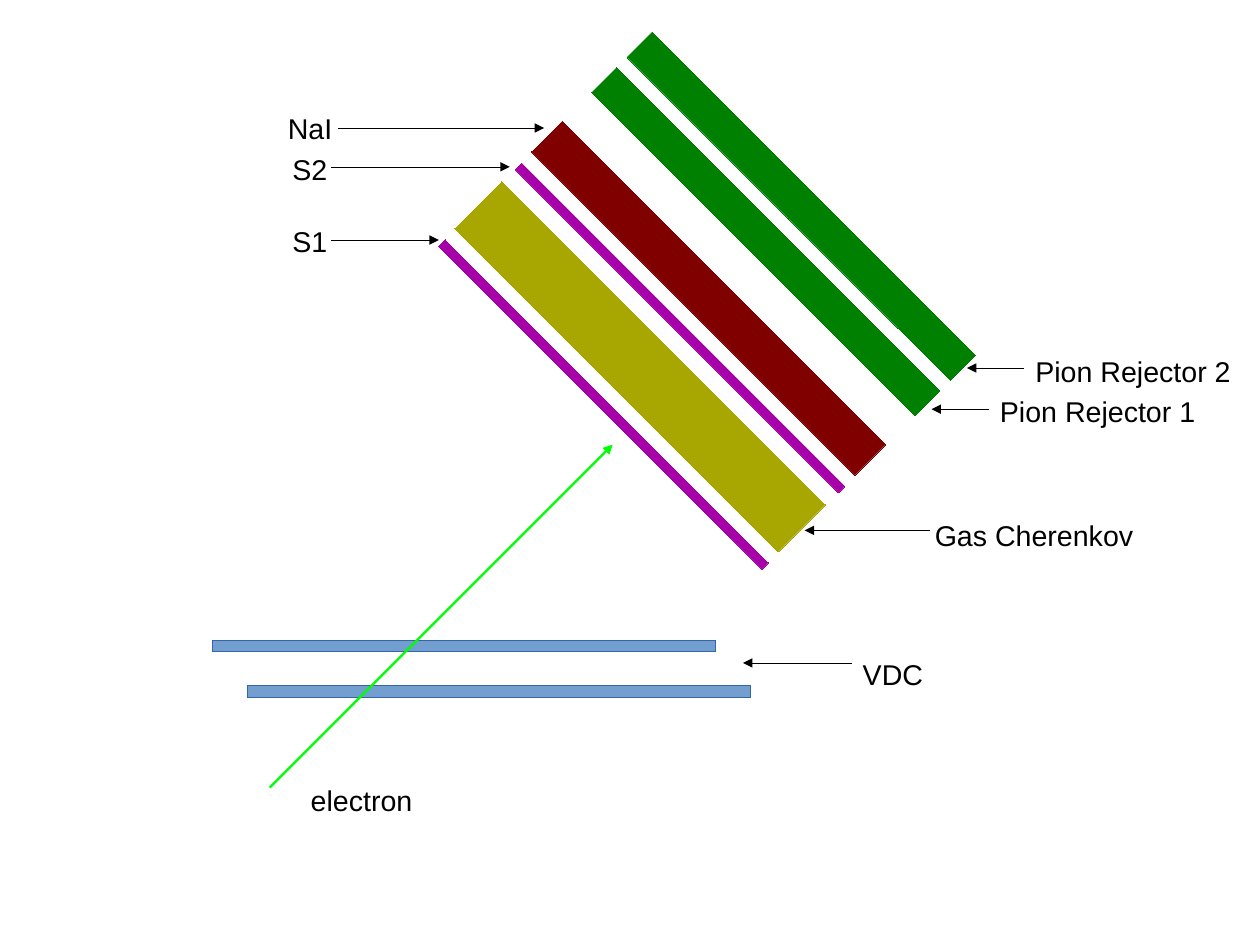
from lxml import etree
from pptx import Presentation
from pptx.dml.color import RGBColor
from pptx.enum.shapes import MSO_CONNECTOR as Connector, MSO_SHAPE as Shape
from pptx.enum.text import MSO_AUTO_SIZE as AutoSize
from pptx.oxml.ns import qn
from pptx.util import Inches, Pt

BLACK = RGBColor(0x00, 0x00, 0x00)
BLUE = RGBColor(0x72, 0x9F, 0xCF)
DARK_BLUE = RGBColor(0x34, 0x65, 0xA4)
PURPLE = RGBColor(0xA6, 0x00, 0xA8)
OLIVE = RGBColor(0xA8, 0xA6, 0x00)
MAROON = RGBColor(0x80, 0x00, 0x00)
GREEN = RGBColor(0x00, 0x80, 0x00)
LIME = RGBColor(0x00, 0xFF, 0x00)

CM_PER_INCH = 2.54
HAIRLINE = 0.01
CHAMBER_LENGTH, CHAMBER_HEIGHT = 4.4, 0.1
DETECTOR_LENGTH, DETECTOR_ANGLE = 4, 45
LABEL_HEIGHT = 0.38

CHAMBERS = [(1.86, 5.6), (2.17, 6)]
DETECTORS = [
    (3.28, 3.5, 0.08, PURPLE),
    (3.95, 2.83, 0.08, PURPLE),
    (3.6, 2.92, 0.58, OLIVE),
    (4.2, 2.42, 0.38, MAROON),
    (4.7, 1.96, 0.31, GREEN),
    (5.01, 1.65, 0.31, GREEN),
]
LABELS = [
    ("VDC", 7.45, 5.7, 0.73),
    ("electron", 2.62, 6.8, 1.09),
    ("S1", 2.46, 1.91, 0.52),
    ("S2", 2.46, 1.28, 0.52),
    ("NaI", 2.42, 0.92, 0.6),
    ("Gas Cherenkov", 8.08, 4.48, 1.95),
    ("Pion Rejector 2", 8.96, 3.05, 1.92),
    ("Pion Rejector 1", 8.65, 3.4, 1.92),
]
POINTERS = [
    (7.45, 6.5, 5.8),
    (2.9, 4.46, 1.46),
    (2.9, 3.84, 2.1),
    (8.14, 7.04, 4.64),
    (2.96, 4.76, 1.12),
    (8.96, 8.46, 3.22),
    (8.65, 8.15, 3.58),
]


def add_bar(slide, left, top, width, height, fill, line, rotation=0):
    shape = slide.shapes.add_shape(
        Shape.RECTANGLE, Inches(left), Inches(top), Inches(width), Inches(height))
    shape.rotation = rotation
    shape.shadow.inherit = False
    shape.fill.solid()
    shape.fill.fore_color.rgb = fill
    shape.line.color.rgb = line
    shape.line.width = Pt(HAIRLINE)


def add_arrow(slide, start, end, color=BLACK, width=HAIRLINE):
    connector = slide.shapes.add_connector(
        Connector.STRAIGHT, *map(Inches, (*start, *end)))
    connector.line.color.rgb = color
    connector.line.width = Pt(width)
    properties = connector._element.spPr
    etree.SubElement(properties.find(qn("a:ln")), qn("a:tailEnd"), type="triangle")
    etree.SubElement(properties, qn("a:effectLst"))


def add_label(slide, text, left, top, width, size=18, font="Arial", color=BLACK):
    box = slide.shapes.add_textbox(
        Inches(left), Inches(top), Inches(width), Inches(LABEL_HEIGHT))
    frame = box.text_frame
    frame.word_wrap = False
    frame.auto_size = AutoSize.SHAPE_TO_FIT_TEXT
    run = frame.paragraphs[0].add_run()
    run.text = text
    run.font.size = Pt(size)
    run.font.name = font
    run.font.color.rgb = color


def main():
    presentation = Presentation()
    presentation.slide_width = Inches(28 / CM_PER_INCH)
    presentation.slide_height = Inches(21 / CM_PER_INCH)
    slide = presentation.slides.add_slide(presentation.slide_layouts[6])

    for left, top in CHAMBERS:
        add_bar(slide, left, top, CHAMBER_LENGTH, CHAMBER_HEIGHT, BLUE, DARK_BLUE)
    for left, top, thickness, color in DETECTORS:
        add_bar(slide, left, top, DETECTOR_LENGTH, thickness, color, color,
                rotation=DETECTOR_ANGLE)
    add_arrow(slide, (2.36, 6.89), (5.36, 3.89), color=LIME, width=1.5)
    for start, end, height in POINTERS:
        add_arrow(slide, (start, height), (end, height))
    for text, left, top, width in LABELS:
        add_label(slide, text, left, top, width)

    presentation.save("out.pptx")


if __name__ == "__main__":
    main()
